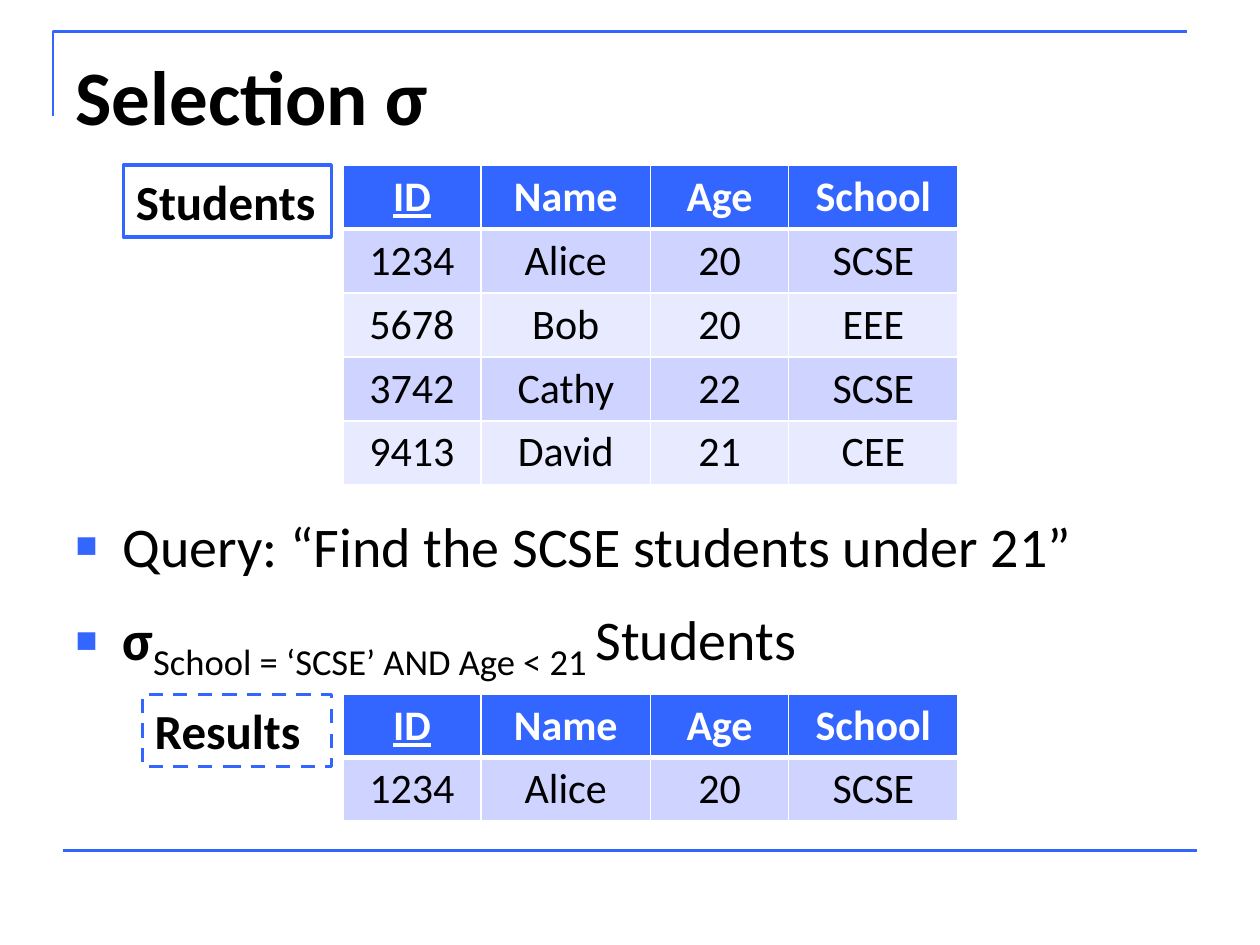
from dataclasses import dataclass

from lxml.etree import SubElement
from pptx import Presentation
from pptx.dml.color import RGBColor
from pptx.enum.dml import MSO_LINE
from pptx.enum.shapes import MSO_CONNECTOR, MSO_SHAPE
from pptx.enum.text import MSO_ANCHOR, MSO_AUTO_SIZE, PP_ALIGN
from pptx.oxml.ns import qn
from pptx.util import Cm, Pt

COLORS = {"accent": "3366FF", "band": "CED3FF", "light": "E8EAFF",
          "white": "FFFFFF", "black": "000000"}
FONT = "Calibri"
HEADER = ("ID", "Name", "Age", "School")
COLUMN_WIDTHS = (2.79, 3.41, 2.79, 3.41)
ROW_HEIGHT = 1.27
TABLE_LEFT = 6.91
LABEL_RIGHT = 6.68


@dataclass
class Relation:
    name: str
    top: float
    label_width: float
    rows: tuple
    dash: MSO_LINE | None = None


RELATIONS = (
    Relation("Students", 3.33, 4.19, (
        ("1234", "Alice", "20", "SCSE"),
        ("5678", "Bob", "20", "EEE"),
        ("3742", "Cathy", "22", "SCSE"),
        ("9413", "David", "21", "CEE"))),
    Relation("Results", 14.0, 3.81, (("1234", "Alice", "20", "SCSE"),), MSO_LINE.DASH),
)


def color(name: str) -> RGBColor:
    return RGBColor.from_string(COLORS[name])


def add_text(para, text: str, *, size: float, ink: str = "black", bold: bool = False,
             underline: bool = False, baseline: int = 0) -> None:
    span = para.add_run()
    span.text = text
    font = span.font
    font.name, font.size, font.bold = FONT, Pt(size), bold
    font.color.rgb = color(ink)
    if underline:
        font.underline = True
    if baseline:
        font._element.set("baseline", str(baseline * 1000))


def set_line(shape, width: float) -> None:
    shape.line.color.rgb = color("accent")
    shape.line.width = Pt(width)


def place(shape, left: float, top: float, width: float, height: float) -> None:
    shape.left, shape.top = Cm(left), Cm(top)
    shape.width, shape.height = Cm(width), Cm(height)


def add_bullet(para) -> None:
    properties = para._p.get_or_add_pPr()
    indent = Cm(0.95)
    properties.set("marL", str(indent))
    properties.set("indent", str(-indent))
    bullet_color = SubElement(properties, qn("a:buClr"))
    SubElement(bullet_color, qn("a:srgbClr"), val=COLORS["accent"])
    SubElement(properties, qn("a:buSzPct"), val="65000")
    SubElement(properties, qn("a:buFont"), typeface="Arial")
    SubElement(properties, qn("a:buChar"), char="■")


def set_borders(cell, bottom: float, top: float) -> None:
    properties = cell._tc.get_or_add_tcPr()
    for side, width in (("L", 1), ("R", 1), ("T", top), ("B", bottom)):
        line = SubElement(properties, qn(f"a:ln{side}"), w=str(Pt(width)))
        fill = SubElement(line, qn("a:solidFill"))
        SubElement(fill, qn("a:srgbClr"), val=COLORS["white"])


def add_relation_table(page, relation: Relation) -> None:
    rows = (HEADER, *relation.rows)
    table = page.shapes.add_table(
        len(rows), len(HEADER), Cm(TABLE_LEFT), Cm(relation.top),
        Cm(sum(COLUMN_WIDTHS)), Cm(ROW_HEIGHT * len(rows))).table
    for column, width in zip(table.columns, COLUMN_WIDTHS):
        column.width = Cm(width)
    for i, values in enumerate(rows):
        is_header = i == 0
        fill = "accent" if is_header else ("light", "band")[i % 2]
        for j, value in enumerate(values):
            cell = table.cell(i, j)
            set_borders(cell, bottom=3 if is_header else 1, top=3 if i == 1 else 1)
            cell.fill.solid()
            cell.fill.fore_color.rgb = color(fill)
            para = cell.text_frame.paragraphs[0]
            para.alignment = PP_ALIGN.CENTER
            add_text(para, value, size=24, ink="white" if is_header else "black",
                     bold=is_header, underline=is_header and j == 0)


def add_label(page, relation: Relation) -> None:
    box = page.shapes.add_shape(
        MSO_SHAPE.RECTANGLE, Cm(LABEL_RIGHT - relation.label_width), Cm(relation.top),
        Cm(relation.label_width), Cm(1.45))
    box.shadow.inherit = False
    box.fill.background()
    set_line(box, 2)
    if relation.dash:
        box.line.dash_style = relation.dash
    frame = box.text_frame
    frame.word_wrap = True
    frame.auto_size = MSO_AUTO_SIZE.SHAPE_TO_FIT_TEXT
    frame.vertical_anchor = MSO_ANCHOR.TOP
    para = frame.paragraphs[0]
    para.alignment = PP_ALIGN.LEFT
    add_text(para, relation.name, size=28, bold=True)


def add_frame_lines(page) -> None:
    builder = page.shapes.build_freeform(Cm(1.07), Cm(2.34))
    builder.add_line_segments(
        [(Cm(1.07), Cm(0.64)), (Cm(23.93), Cm(0.64))], close=False)
    corner = builder.convert_to_shape()
    corner.shadow.inherit = False
    corner.fill.background()
    set_line(corner, 1.5)

    rule = page.shapes.add_connector(
        MSO_CONNECTOR.STRAIGHT, Cm(1.27), Cm(17.15), Cm(24.13), Cm(17.15))
    SubElement(rule._element.spPr, qn("a:effectLst"))
    set_line(rule, 1.5)


def fill_title(title) -> None:
    place(title, 1.27, 0.76, 22.86, 3.18)
    frame = title.text_frame
    frame.auto_size = MSO_AUTO_SIZE.NONE
    frame.vertical_anchor = MSO_ANCHOR.TOP
    frame.margin_top = Cm(0.22)
    para = frame.paragraphs[0]
    para.alignment = PP_ALIGN.LEFT
    add_text(para, "Selection σ", size=44, bold=True)


def fill_body(body) -> None:
    place(body, 1.27, 10.13, 22.86, 6.91)
    frame = body.text_frame
    frame.auto_size = MSO_AUTO_SIZE.NONE
    frame.margin_top = Cm(0.18)
    query, formula = frame.paragraphs[0], frame.add_paragraph()
    for para, gap in ((query, 0), (formula, 10.5)):
        add_bullet(para)
        para.space_before = Pt(gap)
    add_text(query, "Query: “Find the SCSE students under 21”", size=32)
    add_text(formula, "σ", size=32, bold=True)
    add_text(formula, "School = ‘SCSE’ AND Age < 21 ", size=36, baseline=-25)
    add_text(formula, "Students", size=32)


def main() -> None:
    deck = Presentation()
    deck.slide_width, deck.slide_height = Cm(25.4), Cm(19.05)
    page = deck.slides.add_slide(deck.slide_layouts[1])

    # Decorative lines, title and list
    add_frame_lines(page)
    fill_title(page.shapes.title)
    fill_body(page.placeholders[1])

    # Input relation and query result
    for relation in RELATIONS:
        add_relation_table(page, relation)
        add_label(page, relation)

    deck.save("out.pptx")


if __name__ == "__main__":
    main()
